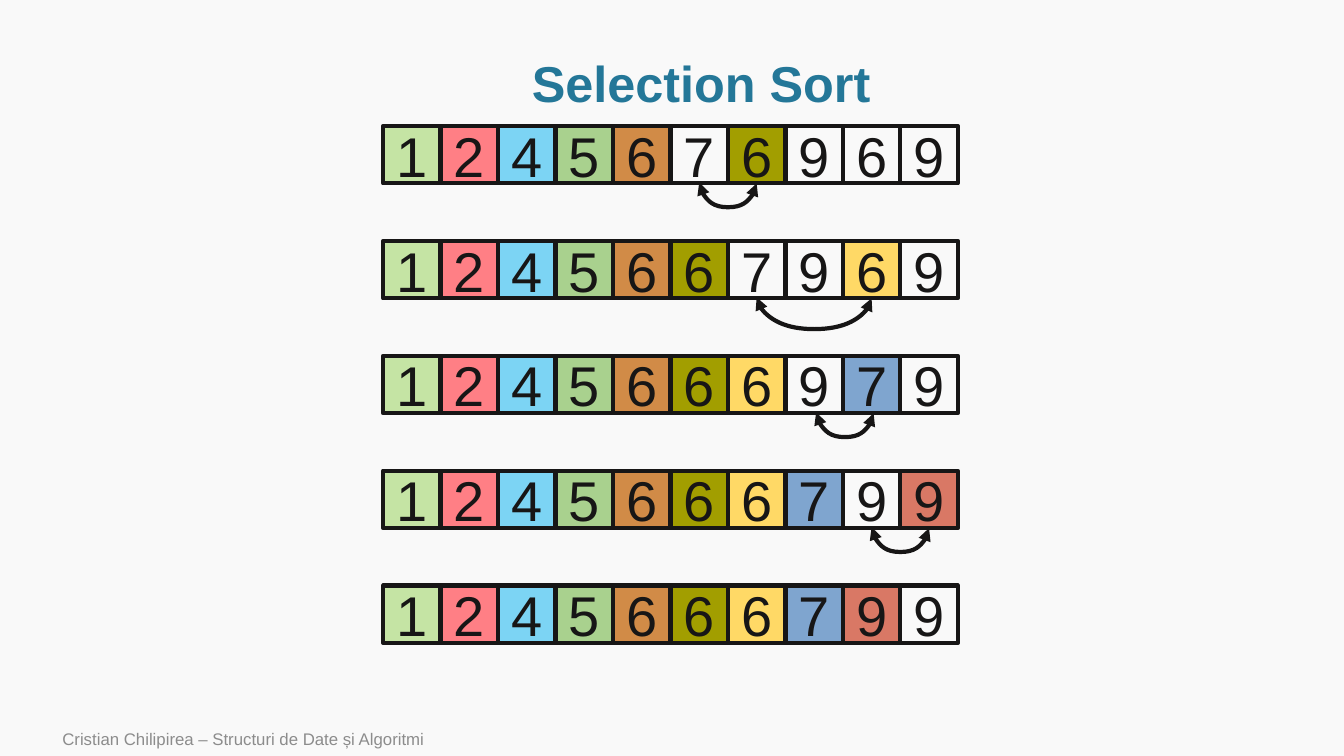
from dataclasses import dataclass

from lxml import etree
from pptx import Presentation
from pptx.dml.color import RGBColor
from pptx.enum.shapes import MSO_CONNECTOR as CONN, MSO_SHAPE as SHAPE
from pptx.enum.text import MSO_ANCHOR as ANCHOR, MSO_AUTO_SIZE as AUTO, PP_ALIGN as ALIGN
from pptx.oxml.ns import qn
from pptx.util import Inches, Pt


@dataclass(frozen=True)
class Theme:
    font: str = "Arial"
    background: str = "F9F9F9"
    title: str = "247798"
    ink: str = "171616"
    footer: str = "8C8C8C"
    title_size: int = 36
    digit_size: int = 40
    footer_size: int = 12
    line_width: int = 3
    # One colour per sorted position
    sorted_fills: tuple = ("C5E4A4", "FF7F85", "7CD4F4", "A9D18E", "D18B47",
                           "A29E00", "FFD966", "7FA5CF", "D97865")


def rgb(value):
    return RGBColor.from_string(value)


def write(tf, text, *, font, size, color, bold=False, align=ALIGN.LEFT, spacing=None):
    tf.word_wrap = True
    tf.auto_size = AUTO.NONE
    tf.vertical_anchor = ANCHOR.MIDDLE
    p = tf.paragraphs[0]
    p.alignment = align
    if spacing:
        p.line_spacing = spacing
    r = p.add_run()
    r.text = text
    r.font.name, r.font.size, r.font.bold = font, Pt(size), bold
    r.font.color.rgb = rgb(color)


class SlideBuilder:
    def __init__(self, prs, theme):
        self.theme = theme
        self.slide = prs.slides.add_slide(prs.slide_layouts[5])
        fill = self.slide.background.fill
        fill.solid()
        fill.fore_color.rgb = rgb(theme.background)

    def title(self, text, left, top, width, height):
        sp = self.slide.shapes.title
        sp.left, sp.top = Inches(left), Inches(top)
        sp.width, sp.height = Inches(width), Inches(height)
        t = self.theme
        write(sp.text_frame, text, font=t.font, size=t.title_size, color=t.title,
              bold=True, align=ALIGN.CENTER, spacing=0.9)

    def footer(self, text, left, top, width, height):
        sp = self.slide.shapes.add_textbox(
            Inches(left), Inches(top), Inches(width), Inches(height))
        t = self.theme
        write(sp.text_frame, text, font=t.font, size=t.footer_size, color=t.footer)

    def outline(self, sp):
        sp.line.color.rgb = rgb(self.theme.ink)
        sp.line.width = Pt(self.theme.line_width)

    def cell(self, digit, left, top, side, fill=None):
        sp = self.slide.shapes.add_shape(
            SHAPE.RECTANGLE, Inches(left), Inches(top), Inches(side), Inches(side))
        sp.shadow.inherit = False
        if fill:
            sp.fill.solid()
            sp.fill.fore_color.rgb = rgb(fill)
        else:
            sp.fill.background()
        self.outline(sp)
        t = self.theme
        write(sp.text_frame, digit, font=t.font, size=t.digit_size, color=t.ink,
              align=ALIGN.CENTER)

    def swap_arrow(self, left, top, span, depth):
        """Curve hanging below two cells: a thin upright connector turned by 270 degrees."""
        thin = 0.01
        mid_x, mid_y = left + span / 2, top + thin / 2
        sp = self.slide.shapes.add_connector(
            CONN.CURVE, Inches(mid_x + thin / 2), Inches(mid_y - span / 2),
            Inches(mid_x - thin / 2), Inches(mid_y + span / 2))
        self.outline(sp)
        props = sp._element.spPr
        props.find(qn("a:xfrm")).set("rot", str(270 * 60000))
        guides = props.find(qn("a:prstGeom")).get_or_add_avLst()
        etree.SubElement(guides, qn("a:gd"), name="adj1",
                         fmla=f"val {round(depth / thin * 100000)}")
        ln = sp.line._get_or_add_ln()
        for end in ("a:headEnd", "a:tailEnd"):
            etree.SubElement(ln, qn(end), type="triangle")
        etree.SubElement(props, qn("a:effectLst"))


def main():
    prs = Presentation()
    prs.slide_width, prs.slide_height = Inches(13.33), Inches(7.5)
    theme = Theme()
    page = SlideBuilder(prs, theme)
    page.title("Selection Sort", 1.14, 0.51, 11.63, 0.69)

    # Array rows: each step swaps the first unsorted cell with the picked one
    left, top, side = 3.8, 1.25, 0.57
    digits = list("1245676969")
    first_unsorted = 5
    # Picked cell, arrow offset, arrow depth
    steps = [(6, 0, 0.25), (8, 0, 0.32), (8, 0.02, 0.25), (9, 0, 0.25), None]
    for row, step in enumerate(steps):
        y = top + row * 2 * side
        done = first_unsorted + row
        fills = dict(enumerate(theme.sorted_fills[:done]))
        if step:
            picked, offset, depth = step
            fills[picked] = theme.sorted_fills[done]
        for col, digit in enumerate(digits):
            page.cell(digit, left + col * side, y, side, fills.get(col))
        if step:
            page.swap_arrow(left + (done + 0.5) * side + offset, y + side - 0.01,
                            (picked - done) * side, depth)
            digits[done], digits[picked] = digits[picked], digits[done]

    page.footer("Cristian Chilipirea – Structuri de Date și Algoritmi",
                0.52, 7.16, 8.4, 0.34)
    prs.save("out.pptx")


if __name__ == "__main__":
    main()
